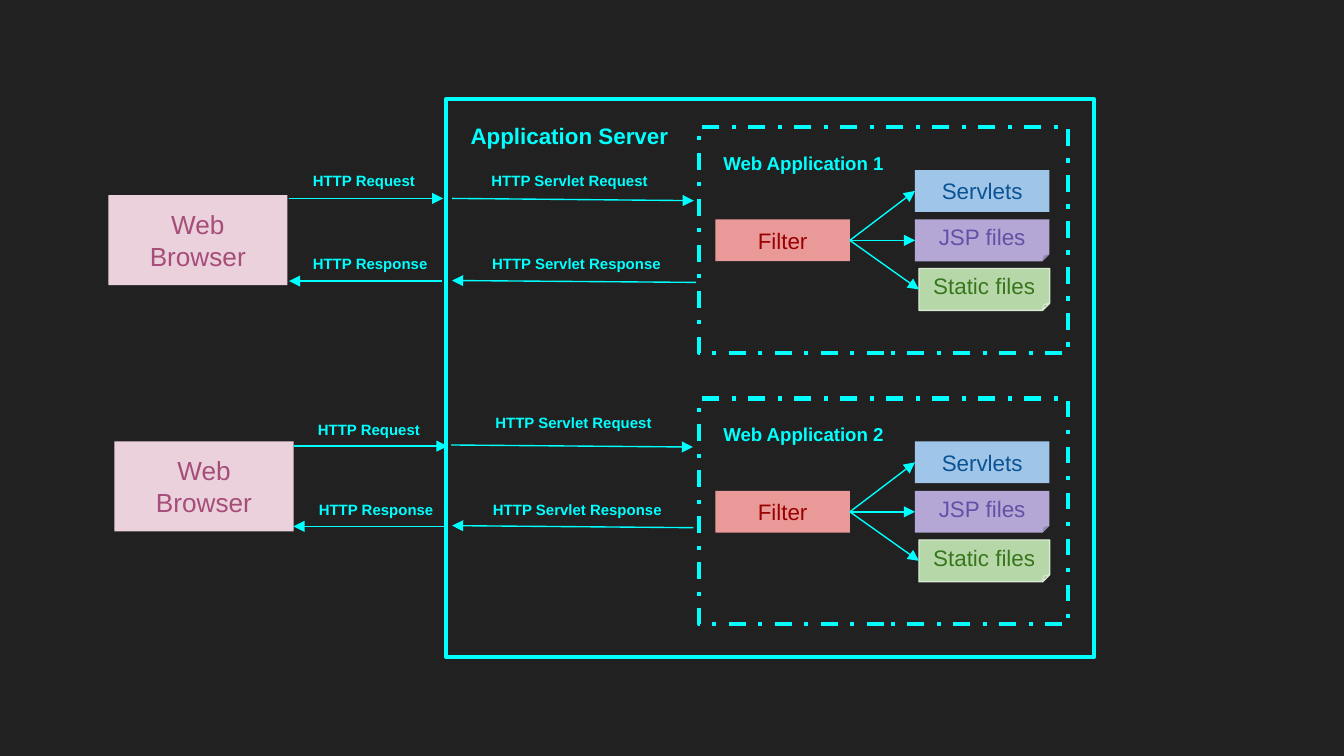
from pptx import Presentation
from pptx.dml.color import RGBColor
from pptx.enum.dml import MSO_LINE
from pptx.enum.shapes import MSO_CONNECTOR, MSO_SHAPE
from pptx.enum.text import MSO_ANCHOR, PP_ALIGN
from pptx.oxml.ns import qn
from pptx.util import Pt
from lxml.etree import SubElement

CYAN = "00FFFF"
RECT, FOLD = MSO_SHAPE.RECTANGLE, MSO_SHAPE.FOLDED_CORNER

# label, label left, top, width, line start, line end, is a reply
CALLS = [
    ("HTTP Request", 160.5, 87.4, 72, (154.8, 106.3), (237.5, 106.3), False),
    ("HTTP Response", 160.5, 131.8, 79.2, (154.8, 150.6), (236.9, 150.6), True),
    ("HTTP Servlet Request", 256.2, 87.4, 99.4, (242.2, 106.3), (371.7, 107.5), False),
    ("HTTP Servlet Response", 256.5, 131.8, 109.4, (242.2, 150.3), (372.8, 151.3), True),
    ("HTTP Request", 163.2, 220.3, 72, (157.4, 239), (239.8, 239), False),
    ("HTTP Response", 163.7, 263.2, 79.2, (157.2, 282), (239.4, 282), True),
    ("HTTP Servlet Request", 258.3, 217, 99.4, (241.7, 238.4), (371.2, 239.5), False),
    ("HTTP Servlet Response", 257, 263.2, 109.4, (242.2, 281.6), (371.5, 282.7), True),
]
# text, kind, left, top within the application, width, fill, ink, line
FILES = [
    ("Servlets", RECT, 490.2, 23, 72, "9FC5E8", "0B5394", None),
    ("JSP files", FOLD, 490.2, 49.5, 72, "B4A7D6", "674EA7", None),
    ("Static files", FOLD, 492.3, 75.8, 70, "B6D7A8", "38761D", "D9EAD3"),
]


def color(code):
    return RGBColor.from_string(code)


def write(shape, text, size=12, ink=CYAN, bold=False, align=PP_ALIGN.LEFT,
          anchor=MSO_ANCHOR.TOP):
    frame = shape.text_frame
    frame.word_wrap = True
    frame.vertical_anchor = anchor
    frame.margin_left = frame.margin_right = Pt(7.2)
    frame.margin_top = frame.margin_bottom = Pt(7.2)
    para = frame.paragraphs[0]
    para.alignment = align
    run = para.add_run()
    run.text = text
    run.font.name = "Arial"
    run.font.size = Pt(size)
    run.font.bold = bold
    run.font.color.rgb = color(ink)


def label(slide, text, left, top, width, height, size):
    box = slide.shapes.add_textbox(Pt(left), Pt(top), Pt(width), Pt(height))
    write(box, text, size=size, bold=True)


def block(slide, kind, left, top, width, height, fill=None, line=None, weight=0.75):
    shape = slide.shapes.add_shape(kind, Pt(left), Pt(top), Pt(width), Pt(height))
    shape.shadow.inherit = False
    if fill:
        shape.fill.solid()
        shape.fill.fore_color.rgb = color(fill)
    else:
        shape.fill.background()
    if line:
        shape.line.color.rgb = color(line)
        shape.line.width = Pt(weight)
    else:
        shape.line.fill.background()
    return shape


def frame(slide, left, top, width, height, dash=None):
    """Draw an unfilled border with rounded line joins."""
    shape = block(slide, RECT, left, top, width, height, line=CYAN, weight=2.25)
    if dash:
        shape.line.dash_style = dash
    SubElement(shape.line._get_or_add_ln(), qn("a:round"))


def arrow(slide, start=(0, 0), end=(0, 0), back=False):
    """Draw an arrow whose head is at end, or at start if back."""
    line = slide.shapes.add_connector(
        MSO_CONNECTOR.STRAIGHT, *(Pt(n) for n in (*start, *end)))
    line.line.color.rgb = color(CYAN)
    line.line.width = Pt(0.75)
    tip = "a:headEnd" if back else "a:tailEnd"
    SubElement(line.line._get_or_add_ln(), qn(tip), type="triangle")
    SubElement(line._element.spPr, qn("a:effectLst"))
    return line


def browser(slide, left, top):
    shape = block(slide, RECT, left, top, 96, 48.2, "EAD1DC")
    write(shape, "Web Browser", size=14, ink="A64D79", align=PP_ALIGN.CENTER)


def webapp(slide, name, top):
    middle = {"align": PP_ALIGN.CENTER, "anchor": MSO_ANCHOR.MIDDLE}
    frame(slide, 374.5, top, 197.8, 121, MSO_LINE.DASH_DOT)
    label(slide, name, 380.4, top + 7.2, 111.6, 29.5, 10)
    gate = block(slide, RECT, 383.3, top + 49.5, 72, 22.4, "EA9999")
    write(gate, "Filter", ink="990000", **middle)
    for text, kind, left, drop, width, fill, ink, line in FILES:
        file = block(slide, kind, left, top + drop, width, 22.4, fill, line)
        write(file, text, ink=ink, **middle)
        link = arrow(slide)
        link.begin_connect(gate, 3)
        link.end_connect(file, 1)


def main():
    deck = Presentation()
    deck.slide_width, deck.slide_height = Pt(720), Pt(405)
    slide = deck.slides.add_slide(deck.slide_layouts[6])
    slide.background.fill.solid()
    slide.background.fill.fore_color.rgb = color("212121")

    label(slide, "Application Server", 245, 58.3, 125.3, 29.5, 12)
    frame(slide, 239, 53, 347, 299)
    browser(slide, 58, 104.6)
    browser(slide, 61.3, 236.5)
    webapp(slide, "Web Application 1", 68.1)
    webapp(slide, "Web Application 2", 213.5)
    for text, left, top, width, start, end, back in CALLS:
        arrow(slide, start, end, back)
        label(slide, text, left, top, width, 26.6, 8)
    deck.save("out.pptx")


if __name__ == "__main__":
    main()
